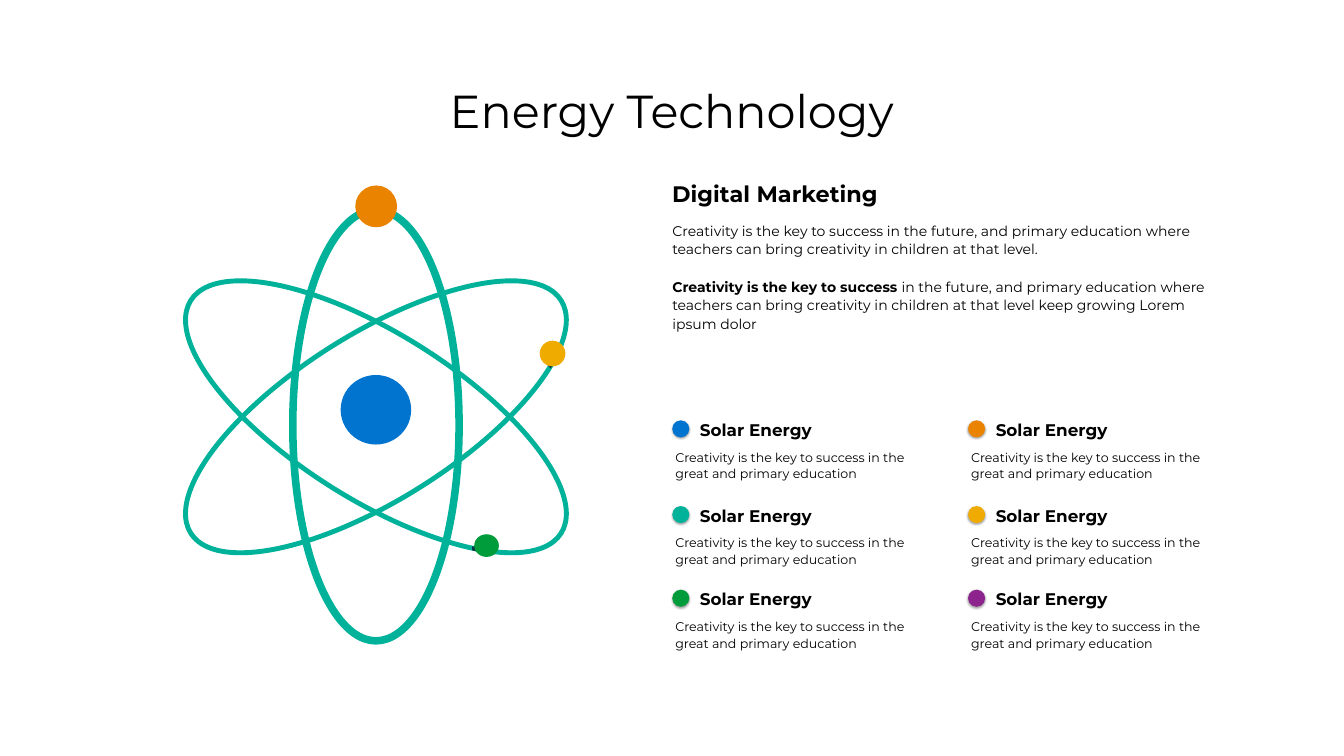
from dataclasses import dataclass

from lxml import etree
from pptx import Presentation
from pptx import util as u
from pptx.dml.color import RGBColor
from pptx.enum import shapes, text
from pptx.oxml import ns

WHITE = RGBColor(0xFF, 0xFF, 0xFF)
BLACK = RGBColor(0x00, 0x00, 0x00)
TEAL = RGBColor(0x00, 0xB2, 0x99)
BLUE = RGBColor(0x00, 0x74, 0xCF)
NAVY = RGBColor(0x07, 0x33, 0x46)
GOLD = RGBColor(0xF0, 0xAB, 0x00)
GREEN = RGBColor(0x00, 0x9B, 0x3A)
AMBER = RGBColor(0xE9, 0x83, 0x00)
PLUM = RGBColor(0x8D, 0x24, 0x8D)

FONT = "Montserrat"
HUB = 7.46
TIGHT = (0.1, 0.05)
MID = (0.2, 0.1)
WIDE = (0.24, 0.12)


@dataclass
class Box:
    x: float
    y: float
    w: float
    h: float


@dataclass
class Orbit:
    mid: float
    long: float
    short: float
    turn: float
    weight: float


@dataclass
class Ball:
    box: Box
    fill: RGBColor


ORBITS = [
    Orbit(8.44, 8.55, 3.3, 90, 10.8),
    Orbit(8.27, 8.68, 3.3, 32.13, 7),
    Orbit(8.27, 8.68, 3.3, -32.13, 7),
]
BALLS = [
    Ball(Box(6.76, 7.44, 1.4, 1.38), BLUE),
    Ball(Box(10.71, 6.76, 0.51, 0.51), GOLD),
    Ball(Box(9.41, 10.6, 0.49, 0.45), GREEN),
    Ball(Box(7.05, 3.68, 0.83, 0.83), AMBER),
]
SHADES = [
    [(11.07, 6.84), (10.98, 7.03), (10.86, 7.24), (10.93, 7.31),
     (11.05, 7.09), (11.15, 6.86)],
    [(9.37, 10.84), (9.37, 10.92), (9.59, 10.97), (9.81, 11),
     (9.85, 10.91), (9.61, 10.88)],
]

COLS = [13.34, 19.21]
ROWS = [8.34, 10.04, 11.7]
KEYS = [[BLUE, AMBER], [TEAL, GOLD], [GREEN, PLUM]]

LEAD = ("Creativity is the key to success in the future, and primary education "
        "where teachers can bring creativity in children at that level.")
BOLD = "Creativity is the key to success "
REST = ("in the future, and primary education where teachers can bring "
        "creativity in children at that level keep growing Lorem ipsum dolor")
NOTE = "Creativity is the key to success in the great and primary education"


def assign(item, values: dict) -> None:
    for name, value in values.items():
        setattr(item, name, value)


def place(box: Box) -> list:
    return [u.Inches(v) for v in (box.x, box.y, box.w, box.h)]


def paint(shape, fill: RGBColor) -> None:
    shape.shadow.inherit = False
    shape.fill.solid()
    shape.fill.fore_color.rgb = fill
    shape.line.fill.background()


def add_oval(slide, box: Box, fill: RGBColor):
    oval = slide.shapes.add_shape(shapes.MSO_SHAPE.OVAL, *place(box))
    paint(oval, fill)
    return oval


def add_orbit(slide, orbit: Orbit) -> None:
    box = Box(HUB - orbit.long / 2, orbit.mid - orbit.short / 2,
              orbit.long, orbit.short)
    ring = add_oval(slide, box, TEAL)
    ring.fill.background()
    ring.line.color.rgb = TEAL
    ring.line.width = u.Pt(orbit.weight)
    ring.rotation = orbit.turn


def add_shade(slide, points: list) -> None:
    """Draw the dark sliver that a ball leaves on its orbit."""
    first, *rest = [(u.Inches(x), u.Inches(y)) for x, y in points]
    pen = slide.shapes.build_freeform(*first)
    pen.add_line_segments(rest, close=True)
    paint(pen.convert_to_shape(), NAVY)


def cast_shadow(shape) -> None:
    """Give the shape a soft shadow straight below it."""
    effects = shape._element.spPr.find(ns.qn("a:effectLst"))
    outer = etree.SubElement(effects, ns.qn("a:outerShdw"), {
        "blurRad": str(u.Pt(3.1)), "dist": str(u.Pt(1.8)),
        "dir": "5400000", "algn": "t", "rotWithShape": "0"})
    tint = etree.SubElement(outer, ns.qn("a:srgbClr"), val="000000")
    etree.SubElement(tint, ns.qn("a:alpha"), val="35000")


def add_text(slide, box: Box, paras: list, size: float, pad: tuple,
             frame: dict, form: dict) -> None:
    """Write paragraphs, each a list of (words, bold) runs."""
    body = slide.shapes.add_textbox(*place(box)).text_frame
    side, edge = (u.Inches(v) for v in pad)
    assign(body, {"margin_left": side, "margin_right": side,
                  "margin_top": edge, "margin_bottom": edge, **frame})
    for i, runs in enumerate(paras):
        para = body.add_paragraph() if i else body.paragraphs[0]
        assign(para, form)
        if i:
            para.space_before = u.Pt(26.8)
        for words, bold in runs:
            run = para.add_run()
            run.text = words
            assign(run.font, {"name": FONT, "size": u.Pt(size), "bold": bold})
            run.font.color.rgb = BLACK


GROW = text.MSO_AUTO_SIZE.SHAPE_TO_FIT_TEXT
LINE = {"word_wrap": False, "auto_size": GROW}
WRAP = {"word_wrap": True, "auto_size": GROW}
LOOSE = {"line_spacing": 1.1}


def add_key(slide, x: float, y: float, fill: RGBColor) -> None:
    add_text(slide, Box(x + 0.35, y - 0.11, 2.62, 0.61),
             [[("Solar Energy", True)]], 24, MID, LINE, {})
    add_text(slide, Box(x - 0.18, y + 0.43, 5.14, 0.88),
             [[(NOTE, False)]], 18, WIDE, WRAP, LOOSE)
    cast_shadow(add_oval(slide, Box(x, y, 0.34, 0.34), fill))


def main() -> None:
    deck = Presentation()
    assign(deck, {"slide_width": u.Inches(26.67), "slide_height": u.Inches(15)})
    slide = deck.slides.add_slide(deck.slide_layouts[6])
    slide.background.fill.solid()
    slide.background.fill.fore_color.rgb = WHITE

    for orbit in ORBITS:
        add_orbit(slide, orbit)
    for points in SHADES:
        add_shade(slide, points)
    for ball in BALLS:
        add_oval(slide, ball.box, ball.fill)

    add_text(slide, Box(13.14, 3.47, 4.5, 0.74),
             [[("Digital Marketing", True)]], 32, MID, LINE, {})
    add_text(slide, Box(13.14, 4.28, 11.21, 2.4),
             [[(LEAD, False)], [(BOLD, True), (REST, False)]],
             20, MID, WRAP, LOOSE)
    for y, fills in zip(ROWS, KEYS):
        for x, fill in zip(COLS, fills):
            add_key(slide, x, y, fill)
    add_text(slide, Box(1.83, 0.8, 23, 2.9),
             [[("Energy Technology", False)]], 66, TIGHT,
             {"word_wrap": True, "vertical_anchor": text.MSO_ANCHOR.MIDDLE},
             {"alignment": text.PP_ALIGN.CENTER, "line_spacing": 0.9})
    deck.save("out.pptx")


if __name__ == "__main__":
    main()
